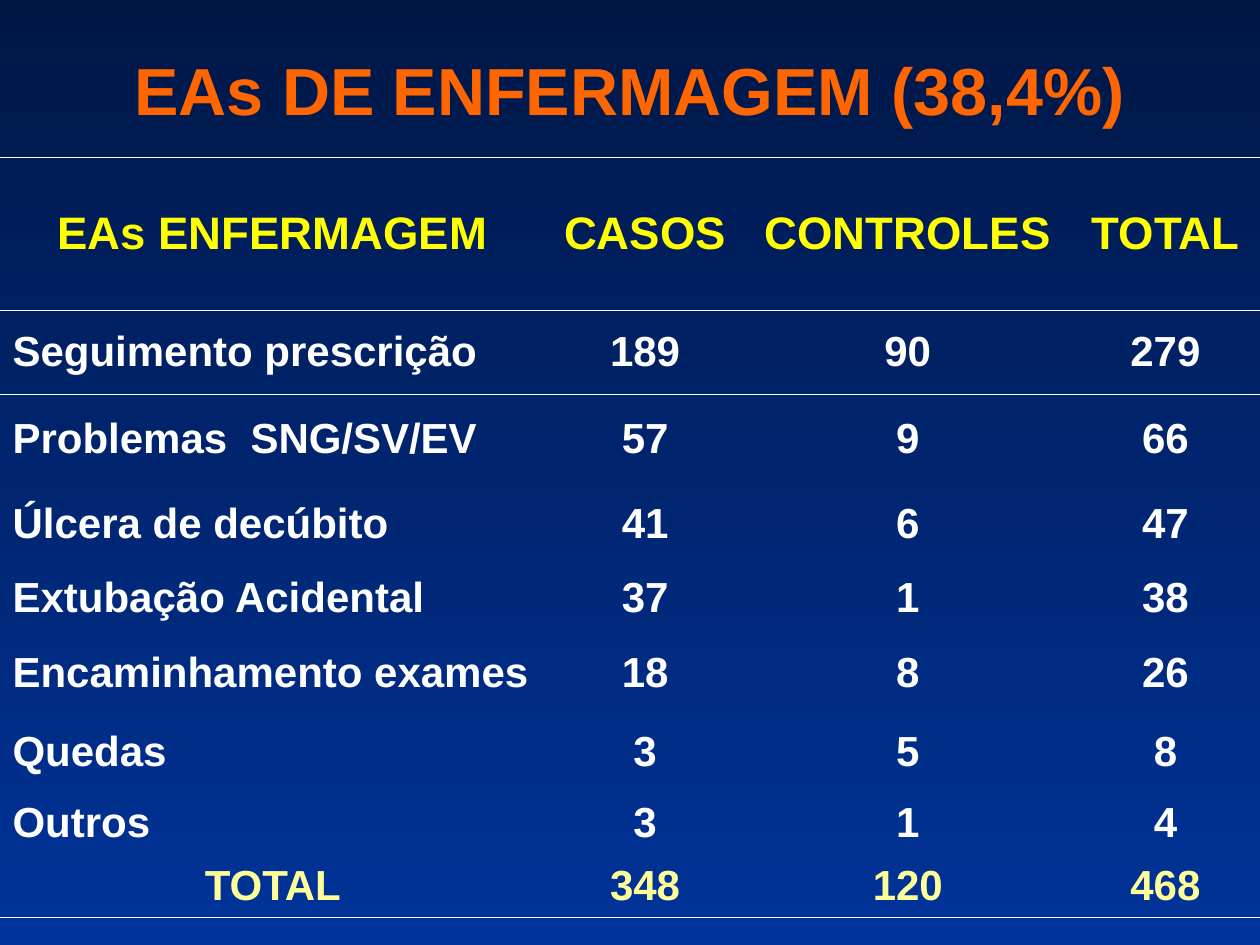
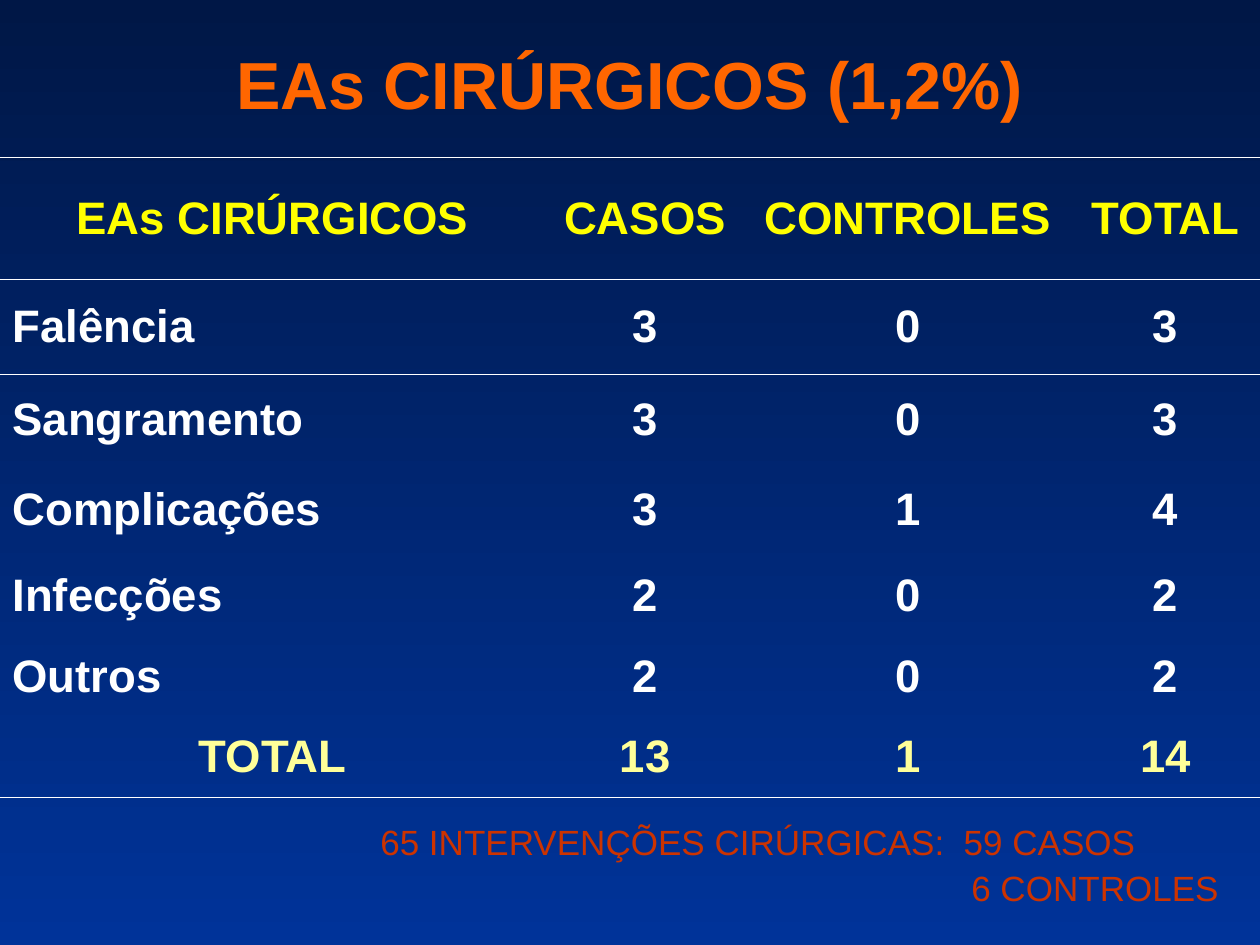
from dataclasses import dataclass

from lxml.etree import SubElement
from pptx import Presentation
from pptx.dml.color import RGBColor
from pptx.enum.text import MSO_ANCHOR, PP_ALIGN
from pptx.oxml.ns import qn
from pptx.util import Inches, Pt


@dataclass(frozen=True)
class Theme:
    font: str = "Arial"
    bg_top: str = "001746"
    bg_bottom: str = "003399"
    title: str = "FF6600"
    header: str = "FFFF00"
    body: str = "FFFFFF"
    total: str = "FFFF99"
    note: str = "CC3300"
    rule: str = "FFFFFF"
    title_size: float = 38
    header_size: float = 26
    note_size: float = 20
    rule_width: float = 0.45
    no_grid_style: str = "{2D5ABB26-0587-4C30-8999-92F81FD0307C}"


WIDTH, HEIGHT = 10, 7.5
TABLE_TOP = 1.25
COLUMN_WIDTHS = [4.33, 1.58, 2.59, 1.5]


class Deck:
    """Holds the theme, the presentation and the current slide."""

    def __init__(self, theme):
        self.theme = theme
        self.prs = Presentation()
        self.prs.slide_width = Inches(WIDTH)
        self.prs.slide_height = Inches(HEIGHT)
        self.slide = None
        # Shared background, dark at the top
        fill = self.prs.slide_master.background.fill
        fill.gradient()
        fill.gradient_angle = 270
        for stop, color in zip(fill.gradient_stops, (theme.bg_top, theme.bg_bottom)):
            stop.color.rgb = RGBColor.from_string(color)

    def new_slide(self):
        self.slide = self.prs.slides.add_slide(self.prs.slide_layouts[6])

    def style(self, p, size, color, bold=True, align=PP_ALIGN.LEFT):
        p.alignment = align
        p.font.name = self.theme.font
        p.font.size = Pt(size)
        p.font.bold = bold
        p.font.color.rgb = RGBColor.from_string(color)

    def text_box(self, left, top, width, height):
        sp = self.slide.shapes.add_textbox(
            Inches(left), Inches(top), Inches(width), Inches(height))
        sp.text_frame.word_wrap = True
        return sp.text_frame

    def title(self, text, top, height):
        tf = self.text_box(0, top, WIDTH, height)
        tf.vertical_anchor = MSO_ANCHOR.MIDDLE
        p = tf.paragraphs[0]
        p.text = text
        self.style(p, self.theme.title_size, self.theme.title, align=PP_ALIGN.CENTER)

    def note(self, lines, left, top, width, height):
        """Each line is a pair of text and left indent in inches."""
        tf = self.text_box(left, top, width, height)
        for i, (text, indent) in enumerate(lines):
            p = tf.add_paragraph() if i else tf.paragraphs[0]
            p.text = text
            p.line_spacing = 0.9
            if i:
                p.space_before = Pt(5)
                p._p.get_or_add_pPr().set("marL", str(Inches(indent)))
            self.style(p, self.theme.note_size, self.theme.note, bold=False)

    def border(self, cell, side):
        ln = SubElement(cell._tc.get_or_add_tcPr(), qn(f"a:ln{side}"),
                        w=str(Pt(self.theme.rule_width)))
        fill = SubElement(ln, qn("a:solidFill"))
        SubElement(fill, qn("a:srgbClr"), val=self.theme.rule)

    def table(self, rows, row_heights, body_size):
        """Header first, total last; rules around the header and below the total."""
        th = self.theme
        frame = self.slide.shapes.add_table(
            len(rows), len(COLUMN_WIDTHS), 0, Inches(TABLE_TOP),
            Inches(WIDTH), Inches(sum(row_heights)))
        table = frame.table
        table.first_row = table.horz_banding = False
        table._tbl.tblPr.find(qn("a:tableStyleId")).text = th.no_grid_style
        for column, width in zip(table.columns, COLUMN_WIDTHS):
            column.width = Inches(width)

        last = len(rows) - 1
        looks = {0: (th.header_size, th.header, "TB"), last: (body_size, th.total, "B")}
        for i, (values, height) in enumerate(zip(rows, row_heights)):
            table.rows[i].height = Inches(height)
            size, color, sides = looks.get(i, (body_size, th.body, "T" if i == 1 else ""))
            for j, value in enumerate(values):
                cell = table.cell(i, j)
                cell.vertical_anchor = MSO_ANCHOR.MIDDLE
                for side in sides:
                    self.border(cell, side)
                cell.fill.background()
                p = cell.text_frame.paragraphs[0]
                p.text = str(value)
                is_label = j == 0 and 0 < i < last
                self.style(p, size, color,
                           align=PP_ALIGN.LEFT if is_label else PP_ALIGN.CENTER)


def event_rows(heading, events, total):
    """Add the column heads and the row totals to the counted events."""
    counted = [*events, ("TOTAL", *total)]
    return [(heading, "CASOS", "CONTROLES", "TOTAL"),
            *((name, cases, controls, cases + controls)
              for name, cases, controls in counted)]


def main():
    deck = Deck(Theme())

    # Nursing events
    deck.new_slide()
    deck.title("EAs DE ENFERMAGEM (38,4%)", 0.08, 1.25)
    nursing = [
        ("Seguimento prescrição", 189, 90),
        ("Problemas  SNG/SV/EV", 57, 9),
        ("Úlcera de decúbito", 41, 6),
        ("Extubação Acidental", 37, 1),
        ("Encaminhamento exames", 18, 8),
        ("Quedas", 3, 5),
        ("Outros", 3, 1),
    ]
    deck.table(event_rows("EAs ENFERMAGEM", nursing, (348, 120)),
               [1.21, 0.67, 0.71, 0.63, 0.56, 0.62, 0.63, 0.5, 0.5], body_size=24)

    # Surgical events
    deck.new_slide()
    deck.title("EAs CIRÚRGICOS (1,2%)", 0, 1.31)
    surgical = [
        ("Falência", 3, 0),
        ("Sangramento", 3, 0),
        ("Complicações", 3, 1),
        ("Infecções", 2, 0),
        ("Outros", 2, 0),
    ]
    deck.table(event_rows("EAs CIRÚRGICOS", surgical, (13, 1)),
               [0.97, 0.75, 0.72, 0.72, 0.64, 0.64, 0.64], body_size=26)
    deck.note([("65 INTERVENÇÕES CIRÚRGICAS:  59 CASOS", 0), ("6 CONTROLES", 4.69)],
              2.92, 6.5, 7.08, 1)

    deck.prs.save("out.pptx")


if __name__ == "__main__":
    main()
